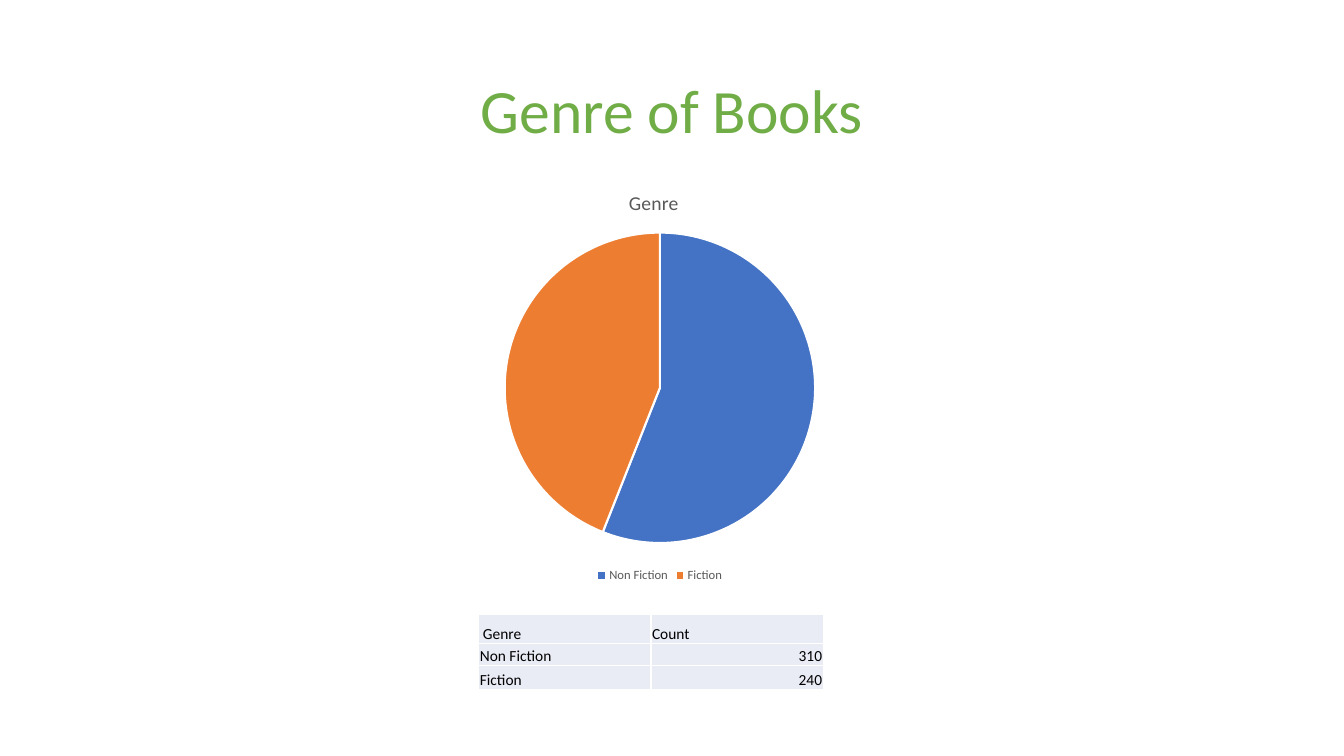
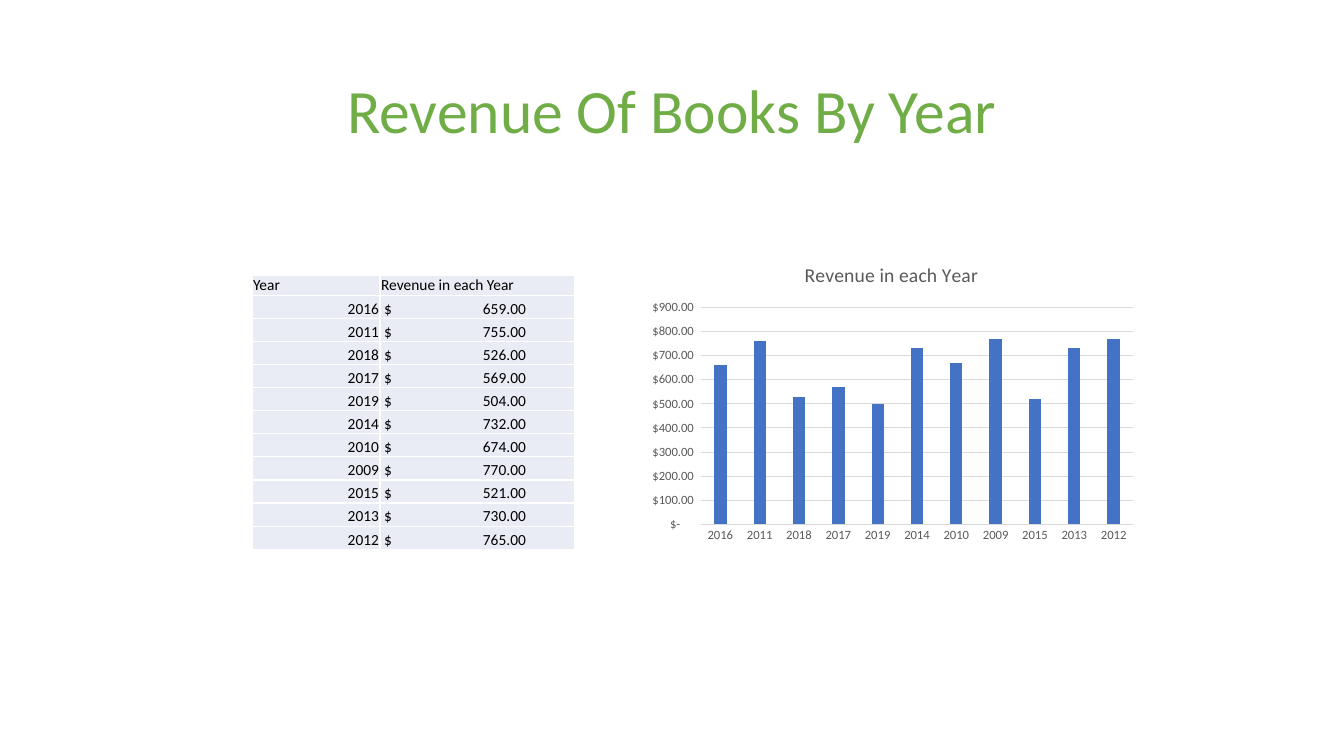
from dataclasses import dataclass
from lxml.etree import SubElement as Sub
from pptx import Presentation
from pptx.chart.data import CategoryChartData as Data
from pptx.dml.color import RGBColor as Rgb
from pptx.enum.chart import XL_CHART_TYPE as Kind, XL_LEGEND_POSITION as Spot, XL_TICK_MARK as Tick
from pptx.enum.text import MSO_ANCHOR as Anchor, PP_ALIGN as Align
from pptx.oxml.ns import qn
from pptx.util import Emu, Pt


@dataclass(frozen=True)
class Theme:
    font: str = "Calibri"
    green: str = "70AD47"
    blue: str = "4472C4"
    orange: str = "ED7D31"
    black: str = "000000"
    grey: str = "595959"
    rule: str = "D9D9D9"
    white: str = "FFFFFF"
    cell: str = "E9EBF5"
    title: int = 44
    head: int = 14
    text: int = 11
    label: int = 9


def px(n):
    """Lengths are in px, 96 to the inch."""
    return Emu(n * 9525)


class Deck:
    def __init__(self, theme):
        self.look = theme
        self.file = Presentation()
        self.file.slide_width, self.file.slide_height = px(1280), px(720)
        self.slide = None

    def style(self, font, size, color):
        font.name, font.size, font.bold = self.look.font, Pt(size), False
        font.color.rgb = Rgb.from_string(color)

    def paint(self, fill, color):
        fill.solid()
        fill.fore_color.rgb = Rgb.from_string(color)

    def rule(self, line, color, width):
        line.color.rgb = Rgb.from_string(color)
        line.width = Pt(width)

    # New slide with the shared title
    def page(self, text):
        self.slide = self.file.slides.add_slide(self.file.slide_layouts[5])
        box = self.slide.shapes.title
        box.left, box.top, box.width, box.height = map(px, (88, 39, 1104, 139))
        frame = box.text_frame
        frame.text = text
        frame.word_wrap = True
        frame.vertical_anchor = Anchor.MIDDLE
        para = frame.paragraphs[0]
        para.alignment, para.line_spacing = Align.CENTER, 0.9
        self.style(para.runs[0].font, self.look.title, self.look.green)

    # White cell borders
    def edge(self, cell):
        props = cell._tc.get_or_add_tcPr()
        for side in ("a:lnL", "a:lnR", "a:lnT", "a:lnB"):
            line = Sub(props, qn(side), w=str(Pt(1)))
            Sub(Sub(line, qn("a:solidFill")), qn("a:srgbClr"), val=self.look.white)

    # One cell; a tab in the text sets the amount at a right tab stop
    def cell(self, cell, text, right, inset, stop):
        self.edge(cell)
        self.paint(cell.fill, self.look.cell)
        cell.vertical_anchor = Anchor.BOTTOM
        cell.margin_left, cell.margin_right = px(inset), px(1)
        cell.margin_top, cell.margin_bottom = px(1), px(0)
        cell.text_frame.text = text
        para = cell.text_frame.paragraphs[0]
        para.alignment = Align.RIGHT if right else Align.LEFT
        if "\t" in text:
            tabs = Sub(para._p.get_or_add_pPr(), qn("a:tabLst"))
            Sub(tabs, qn("a:tab"), pos=str(px(stop)), algn="r")
        for run in para.runs:
            self.style(run.font, self.look.text, self.look.black)

    # Table: numbers stand right, an indented cell has a wider left margin
    def table(self, x, y, cols, highs, rows, indent=(), stop=0):
        grid = self.slide.shapes.add_table(
            len(rows), len(cols), px(x), px(y), px(sum(cols)), px(sum(highs))).table
        grid.first_row = grid.horz_banding = False
        for col, wide in zip(grid.columns, cols):
            col.width = px(wide)
        for r, (row, high) in enumerate(zip(rows, highs)):
            grid.rows[r].height = px(high)
            for c, text in enumerate(row):
                inset = 4 if (r, c) in indent or "\t" in text else 1
                self.cell(grid.cell(r, c), text, text.isdigit(), inset, stop)

    # Chart with the shared title style
    def chart(self, kind, box, title, cats, vals):
        data = Data()
        data.categories = cats
        data.add_series(title, vals)
        chart = self.slide.shapes.add_chart(kind, *map(px, box), data).chart
        self.style(chart.font, self.look.label, self.look.grey)
        chart.has_title = True
        chart.chart_title.include_in_layout = False
        frame = chart.chart_title.text_frame
        frame.text = title
        self.style(frame.paragraphs[0].runs[0].font, self.look.head, self.look.grey)
        chart.has_legend = False
        return chart

    # Chart title at a share of the chart's width and height
    def place(self, chart, x, y):
        layout = chart.chart_title._element.find(qn("c:layout"))
        spot = Sub(layout, qn("c:manualLayout"))
        for name, val in (("xMode", "edge"), ("yMode", "edge"), ("x", x), ("y", y)):
            Sub(spot, qn("c:" + name), val=str(val))

    def pie(self, box, title, cats, vals):
        chart = self.chart(Kind.PIE, box, title, cats, vals)
        self.place(chart, 0.45, 0.04)
        chart.plots[0].vary_by_categories = True
        chart.has_legend = True
        chart.legend.position = Spot.BOTTOM
        chart.legend.include_in_layout = False
        self.style(chart.legend.font, self.look.label, self.look.grey)
        for i, color in enumerate((self.look.blue, self.look.orange)):
            part = chart.series[0].points[i].format
            self.paint(part.fill, color)
            self.rule(part.line, self.look.white, 1.5)

    def bars(self, box, title, cats, vals, form):
        chart = self.chart(Kind.COLUMN_CLUSTERED, box, title, cats, vals)
        plot = chart.plots[0]
        plot.vary_by_categories = False
        plot.gap_width, plot.overlap = 219, -27
        self.paint(plot.series[0].format.fill, self.look.blue)
        cat, val = chart.category_axis, chart.value_axis
        for axis in (cat, val):
            axis.major_tick_mark = axis.minor_tick_mark = Tick.NONE
            self.style(axis.tick_labels.font, self.look.label, self.look.grey)
        self.rule(cat.format.line, self.look.rule, 0.75)
        val.format.line.fill.background()
        val.has_major_gridlines = True
        self.rule(val.major_gridlines.format.line, self.look.rule, 0.75)
        val.minimum_scale, val.maximum_scale, val.major_unit = 0, 900, 100
        val.tick_labels.number_format = form
        val.tick_labels.number_format_is_linked = False


def main():
    deck = Deck(Theme())

    # Genre slide: the pie shows whole percents
    genre = {"Non Fiction": 310, "Fiction": 240}
    total = sum(genre.values())
    shares = [round(100 * n / total) for n in genre.values()]
    deck.page("Genre of Books")
    deck.pie((299, 161, 659, 398), "Genre", list(genre), shares)
    rows = [("Genre", "Count")] + [(name, str(n)) for name, n in genre.items()]
    deck.table(456, 585, (164, 164), (28, 21, 23), rows, indent={(0, 0)})

    # Revenue slide: the columns show tens
    sales = {"2016": 659, "2011": 755, "2018": 526, "2017": 569, "2019": 504, "2014": 732,
             "2010": 674, "2009": 770, "2015": 521, "2013": 730, "2012": 765}
    tens = [(n + 5) // 10 * 10 for n in sales.values()]
    head = "Revenue in each Year"
    form = ('_-[$$-409]* #,##0.00_ ;_-[$$-409]* \\-#,##0.00\\ ;'
            '_-[$$-409]* "-"??_ ;_-@_ ')
    deck.page("Revenue Of Books By Year")
    rows = [("Year", head)] + [(year, f"$\t{n:.2f}") for year, n in sales.items()]
    deck.table(240, 262, (122, 185), [18] + [22] * len(sales), rows, stop=135)
    deck.bars((609, 235, 480, 288), head, list(sales), tens, form)

    deck.file.save("out.pptx")


if __name__ == "__main__":
    main()
